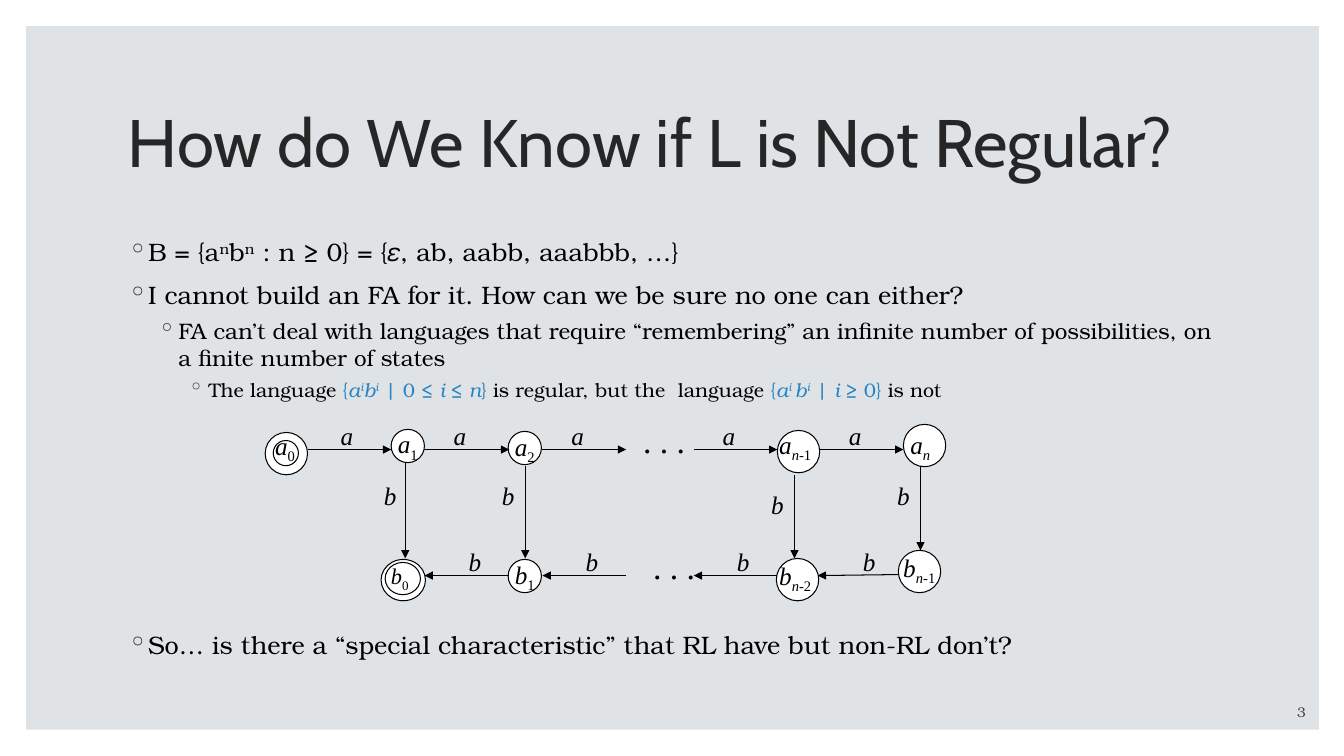
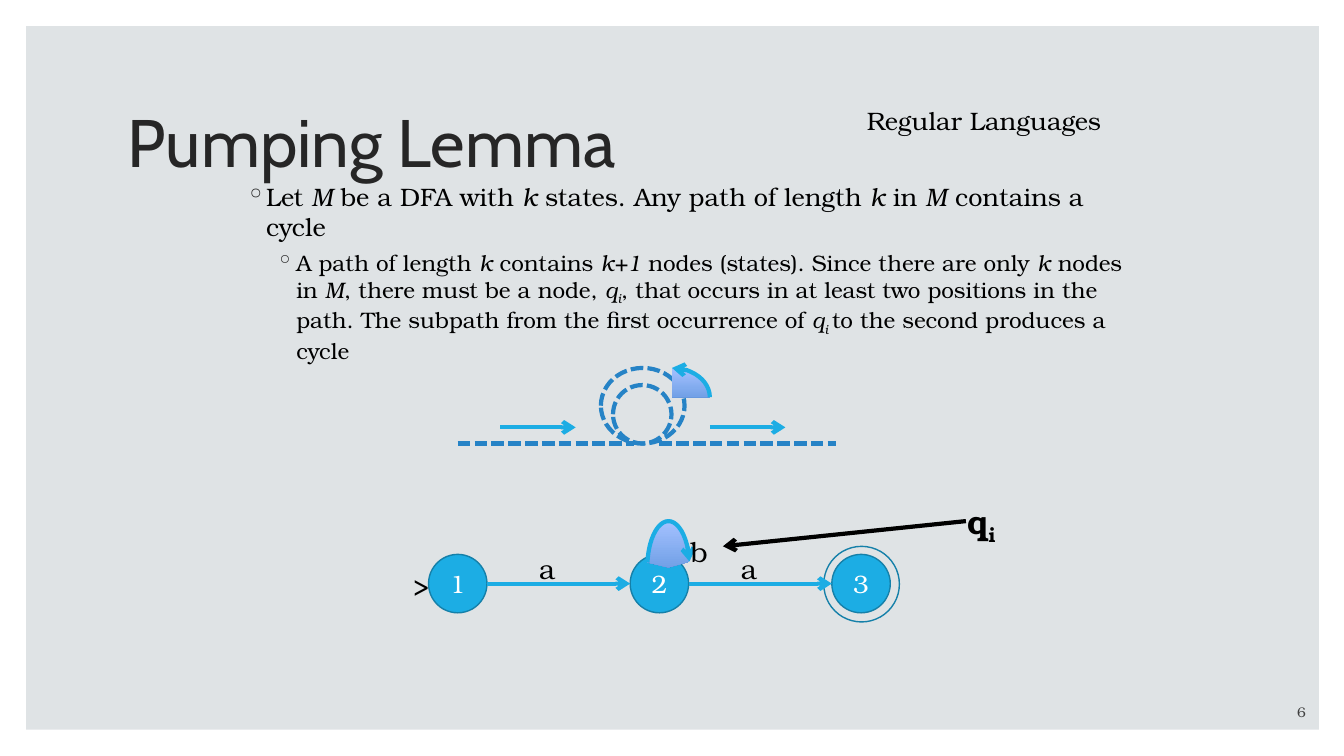
from lxml.etree import SubElement
from pptx import Presentation
from pptx.dml.color import RGBColor
from pptx.enum.dml import MSO_LINE
from pptx.enum.shapes import MSO_CONNECTOR, MSO_SHAPE
from pptx.enum.text import MSO_ANCHOR, MSO_AUTO_SIZE, PP_ALIGN
from pptx.oxml.ns import qn
from pptx.util import Inches, Pt

color = RGBColor.from_string
BLACK, WHITE, PANEL, INK, GRAY = "000000", "FFFFFF", "DFE3E5", "262626", "404040"
BLUE, CYAN, RIM = "2683C6", "1CADE4", "1580A9"
HEADING, BODY, MATH = "Cabin", "TeX Gyre Bonum", "Times New Roman"
MARKS = "/^_#"


def write(paragraph, markup, size, font=BODY, hue=BLACK):
    paragraph.font.size = Pt(size)
    paragraph.font.name = font
    paragraph.font.color.rgb = color(hue)
    for piece in filter(None, markup.split("~")):
        words = piece.lstrip(MARKS)
        marks = piece[:len(piece) - len(words)]
        run = paragraph.add_run()
        run.text = words
        if "/" in marks:
            run.font.italic = True
        if "#" in marks:
            run.font.color.rgb = color(BLUE)
        if "^" in marks:
            run._r.get_or_add_rPr().set("baseline", "30000")
        if "_" in marks:
            run._r.get_or_add_rPr().set("baseline", "-25000")


def stroke(outline, hue, width, dash=None, end=None, tip="arrow"):
    outline.line.color.rgb = color(hue)
    outline.line.width = Pt(width)
    if dash:
        outline.line.dash_style = dash
    if end:
        SubElement(outline.line._get_or_add_ln(), qn(f"a:{end}"), type=tip)
    SubElement(outline._element.spPr, qn("a:effectLst"))


deck = Presentation()
deck.slide_width, deck.slide_height = Inches(13.33), Inches(7.5)

pages = [
    ("How do We Know if L is Not Regular?", "3", (1.17, 2.3, 11, 4.3), [
        (0, 9, "B = {a~^n~b~^n~ : n ≥ 0} = {𝜀, ab, aabb, aaabbb, …}"),
        (0, 9, "I cannot build an FA for it. How can we be sure no one can either?"),
        (1, 5, "FA can’t deal with languages that require “remembering” an infinite "
               "number of possibilities, on a finite number of states"),
        (2, 5, "The language ~#{~/#a~/^#i~/#b~/^#i~# | 0 ≤ ~/#i ~#≤ ~/#n~#}~ is regular, "
               "but the  language ~#{~/#a~/^#i ~/#b~/^#i~# | ~/#i ~#≥ 0} ~is not"),
        (0, 163, "So… is there a “special characteristic” that RL have but non-RL don’t?"),
    ]),
    ("Pumping Lemma", "6", (2.34, 1.75, 8.92, 3.5), [
        (0, 9, "Let ~/M ~be a DFA with ~/k~ states. Any path of length ~/k~ in ~/M~ contains a cycle"),
        (1, 5, "A path of length ~/k~ contains ~/k+1~ nodes (states). Since there are only "
               "~/k~ nodes in ~/M~, there must be a node, ~/q~/_i~, that occurs in at least two "
               "positions in the path. The subpath from the first occurrence of "
               "~/q~/_i ~to the second produces a cycle"),
    ]),
]
slides = []
for heading, number, body_box, points in pages:
    slide = deck.slides.add_slide(deck.slide_layouts[6])
    slides.append(slide)
    panel = slide.shapes.add_shape(MSO_SHAPE.RECTANGLE, *map(Inches, (0.26, 0.26, 12.82, 6.98)))
    panel.shadow.inherit = False
    panel.fill.solid()
    panel.fill.fore_color.rgb = color(PANEL)
    panel.line.fill.background()

    title = slide.shapes.add_textbox(*map(Inches, (1.17, 0.7, 11, 1.5))).text_frame
    title.word_wrap = True
    title.vertical_anchor = MSO_ANCHOR.MIDDLE
    title.paragraphs[0].line_spacing = 0.9
    write(title.paragraphs[0], heading, 48, HEADING, INK)

    body = slide.shapes.add_textbox(*map(Inches, body_box)).text_frame
    body.word_wrap = True
    for index, (level, gap, markup) in enumerate(points):
        point = body.add_paragraph() if index else body.paragraphs[0]
        point.level = level
        point.space_before = Pt(gap)
        props = point._p.get_or_add_pPr()
        props.set("marL", str(Inches(0.2 + 0.3 * level)))
        props.set("indent", str(Inches(-0.2)))
        SubElement(SubElement(props, qn("a:buClr")), qn("a:srgbClr"), val=INK)
        SubElement(props, qn("a:buChar"), char="◦")
        write(point, markup, 18 - 2 * level)

    footer = slide.shapes.add_textbox(*map(Inches, (11.45, 6.9, 1.6, 0.3))).text_frame
    footer.word_wrap = True
    footer.vertical_anchor = MSO_ANCHOR.BOTTOM
    footer.paragraphs[0].alignment = PP_ALIGN.RIGHT
    write(footer.paragraphs[0], number, 10, hue=GRAY)

automaton, lemma = [slide.shapes for slide in slides]

states = [
    (2.63, 4.29, 0.42, 0.42, ""), (2.71, 4.37, 0.25, 0.25, ""),
    (3.88, 4.26, 0.33, 0.33, "/a~_1"), (5.04, 4.28, 0.33, 0.33, "/a~_2"),
    (7.71, 4.27, 0.42, 0.42, ""), (8.96, 4.21, 0.42, 0.42, ""),
    (3.78, 5.55, 0.44, 0.41, ""), (3.82, 5.58, 0.35, 0.32, ""),
    (5.04, 5.55, 0.33, 0.33, "/b~_1"),
    (7.7, 5.54, 0.42, 0.42, ""), (8.91, 5.46, 0.42, 0.42, ""),
]
for *box, name in states:
    state = automaton.add_shape(MSO_SHAPE.OVAL, *map(Inches, box))
    state.fill.solid()
    state.fill.fore_color.rgb = color(WHITE)
    stroke(state, BLACK, 0.75)
    if name:
        state.text_frame.word_wrap = False
        state.text_frame.vertical_anchor = MSO_ANCHOR.MIDDLE
        state.text_frame.paragraphs[0].alignment = PP_ALIGN.CENTER
        write(state.text_frame.paragraphs[0], name, 18, MATH)

labels = [
    (2.63, 4.22, 0.41, 0.4, "/a~_0", 18), (7.63, 4.21, 0.55, 0.4, "/a~/_n~_-1", 18),
    (8.93, 4.21, 0.41, 0.4, "/a~/_n", 18), (3.78, 5.53, 0.4, 0.37, "/b~_0", 16),
    (7.63, 5.51, 0.55, 0.4, "/b~/_n~_-2", 18), (8.86, 5.43, 0.55, 0.4, "/b~/_n~_-1", 18),
    (6.28, 4.12, 0.62, 0.5, ". . .", 24), (6.38, 5.37, 0.62, 0.5, ". . .", 24),
]
moves = [
    (3.05, 4.46, 3.88, 4.46, "/a", 3.28, 4.12), (4.21, 4.46, 5.05, 4.46, "/a", 4.4, 4.12),
    (5.38, 4.46, 6.21, 4.46, "/a", 5.57, 4.12), (6.88, 4.46, 7.71, 4.46, "/a", 7.07, 4.12),
    (8.13, 4.46, 8.96, 4.46, "/a", 8.32, 4.12),
    (4.02, 4.58, 4.02, 5.54, "/b", 3.71, 4.72), (5.21, 4.62, 5.21, 5.54, "/b", 4.88, 4.72),
    (7.88, 4.71, 7.88, 5.54, "/b", 7.55, 4.81), (9.13, 4.62, 9.13, 5.46, "/b", 8.8, 4.72),
    (5.05, 5.71, 4.21, 5.71, "/b", 4.55, 5.37), (6.21, 5.71, 5.38, 5.71, "/b", 5.71, 5.37),
    (7.71, 5.71, 6.88, 5.71, "/b", 7.21, 5.37), (8.91, 5.7, 8.11, 5.71, "/b", 8.46, 5.37),
]
for *ends, letter, left, top in moves:
    move = automaton.add_connector(MSO_CONNECTOR.STRAIGHT, *map(Inches, ends))
    stroke(move, BLACK, 0.75, end="tailEnd", tip="triangle")
    labels.append((left, top, 0.33, 0.4, letter, 18))
for *box, markup, size in labels:
    label = automaton.add_textbox(*map(Inches, box)).text_frame
    label.word_wrap = False
    label.auto_size = MSO_AUTO_SIZE.SHAPE_TO_FIT_TEXT
    write(label.paragraphs[0], markup, size, MATH)

for index in range(3):
    node = lemma.add_shape(MSO_SHAPE.OVAL, *map(Inches, (4.25 + 2 * index, 5.5, 0.58, 0.58)))
    node.fill.solid()
    node.fill.fore_color.rgb = color(CYAN)
    stroke(node, RIM, 1)
    node.text_frame.vertical_anchor = MSO_ANCHOR.MIDDLE
    node.text_frame.paragraphs[0].alignment = PP_ALIGN.CENTER
    write(node.text_frame.paragraphs[0], str(index + 1), 18, hue=WHITE)

rings = [
    (8.17, 5.42, 0.75, 0.75, RIM, 1, None),
    (6.08, 3.82, 0.58, 0.58, BLUE, 3, MSO_LINE.SQUARE_DOT),
    (5.96, 3.65, 0.83, 0.75, BLUE, 3, MSO_LINE.SQUARE_DOT),
]
for *box, hue, width, dash in rings:
    ring = lemma.add_shape(MSO_SHAPE.OVAL, *map(Inches, box))
    ring.fill.background()
    stroke(ring, hue, width, dash)

self_loop = lemma.add_shape(MSO_SHAPE.ARC, *map(Inches, (6.42, 5.17, 0.42, 0.92)))
self_loop.adjustments[0], self_loop.adjustments[1] = 116.06, 206.51
stroke(self_loop, CYAN, 3, end="tailEnd")
cycle_turn = lemma.add_shape(MSO_SHAPE.ARC, *map(Inches, (6.29, 3.65, 0.75, 0.58)))
stroke(cycle_turn, CYAN, 3, end="headEnd")

strokes = [
    (4.83, 5.79, 6.25, 5.79, CYAN, None, "tailEnd"),
    (6.83, 5.79, 8.25, 5.79, CYAN, None, "tailEnd"),
    (4.54, 4.4, 6.29, 4.4, BLUE, MSO_LINE.SQUARE_DOT, None),
    (6.54, 4.4, 8.29, 4.4, BLUE, MSO_LINE.SQUARE_DOT, None),
    (4.96, 4.24, 5.71, 4.24, CYAN, None, "tailEnd"),
    (7.04, 4.24, 7.79, 4.24, CYAN, None, "tailEnd"),
    (9.58, 5.17, 7.17, 5.42, BLACK, None, "tailEnd"),
]
for *ends, hue, dash, end in strokes:
    stroke(lemma.add_connector(MSO_CONNECTOR.STRAIGHT, *map(Inches, ends)), hue, 3, dash, end)

captions = [
    (8.5, 1, 3.17, 0.4, "Regular Languages", 18, False),
    (5.25, 5.42, 0.67, 0.44, "a", 20, False), (7.25, 5.42, 0.67, 0.44, "a", 20, False),
    (6.75, 5.25, 0.67, 0.44, "b", 20, False), (4, 5.58, 0.67, 0.44, ">", 20, False),
    (9.5, 4.92, 1.25, 0.5, "q~_i", 24, True),
]
for *box, markup, size, bold in captions:
    caption = lemma.add_textbox(*map(Inches, box)).text_frame
    caption.word_wrap = True
    caption.auto_size = MSO_AUTO_SIZE.SHAPE_TO_FIT_TEXT
    write(caption.paragraphs[0], markup, size)
    caption.paragraphs[0].font.bold = bold

deck.save("out.pptx")
